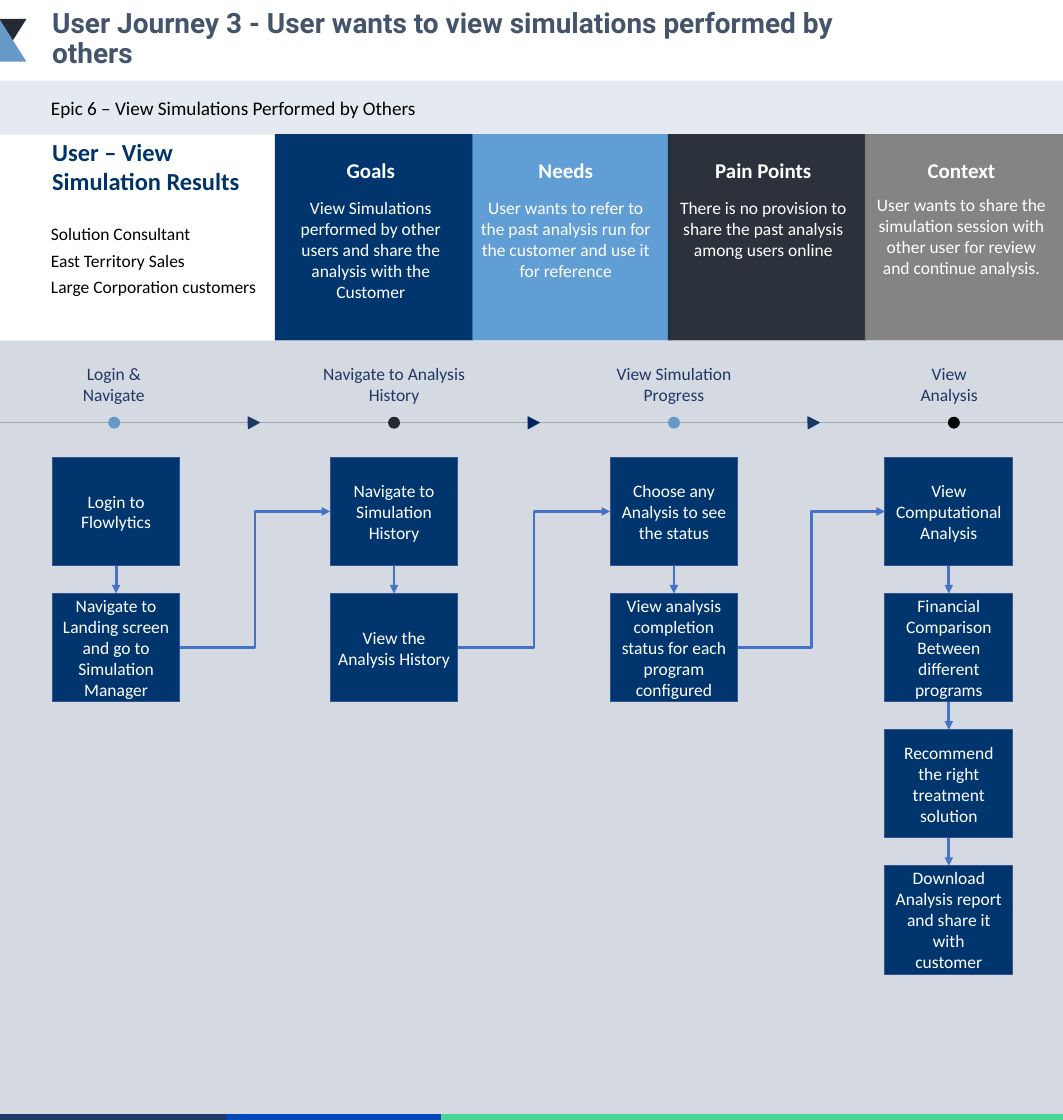
from lxml import etree
from pptx import Presentation
from pptx.dml.color import RGBColor
from pptx.enum import shapes, text
from pptx.oxml.ns import qn
from pptx.util import Pt

# Content
WIDE, HIGH = 1216.8, 1281.6
NAVY, INK, SKY, DUSK = "00366D", "232A33", "6799C8", "203864"
TITLE = "User Journey 3 - User wants to view simulations performed by others"
EPIC = "Epic 6 – View Simulations Performed by Others"
USER = "User – View Simulation Results"
ROLES = "Solution Consultant\nEast Territory Sales\nLarge Corporation customers"

# Card: heading, body, left, text left, body top, fill, opacity
CARDS = [
    ("Goals", "View Simulations performed by other users and share the analysis "
     "with the Customer", 314.6, 321.8, 226, NAVY, 100),
    ("Needs", "User wants to refer to the past analysis run for the customer "
     "and use it for reference", 540.7, 545, 226, "5B9BD5", 96),
    ("Pain Points", "There is no provision to share the past analysis among "
     "users online", 764.6, 771.1, 226, INK, 96),
    ("Context", "User wants to share the simulation session with other user for "
     "review and continue analysis.", 990, 997.9, 221.8, "808080", 96),
]

# Stage: label, label centre, label width, dot colour, step left, steps
STAGES = [
    ("Login & Navigate", 130.3, 141.1, SKY, 59.8,
     ["Login to\nFlowlytics",
      "Navigate to\nLanding screen and go to Simulation Manager"]),
    ("Navigate to Analysis History", 451.1, 209.5, INK, 378,
     ["Navigate to Simulation History", "View the Analysis History"]),
    ("View Simulation Progress", 771.5, 209.5, SKY, 698.4,
     ["Choose any Analysis to see the status",
      "View analysis completion status for each program configured"]),
    ("View\nAnalysis", 1086.5, 141.1, "000000", 1013,
     ["View\nComputational\nAnalysis",
      "Financial\nComparison\nBetween different\nprograms",
      "Recommend the right treatment solution",
      "Download\nAnalysis report and share it with\ncustomer"]),
]
MARKS = [(DUSK, DUSK), ("002060", NAVY), (DUSK, "003468")]
STRIPES = [(505.4, 715, "48D597"), (246.2, 258.5, "0047BB"), (0, 258.5, DUSK)]

deck = Presentation()
deck.slide_width, deck.slide_height = Pt(WIDE), Pt(HIGH)
slide = deck.slides.add_slide(deck.slide_layouts[6])
KIND, LINK = shapes.MSO_SHAPE, shapes.MSO_CONNECTOR
LEFT, MID = text.PP_ALIGN.LEFT, text.PP_ALIGN.CENTER


def paint(part, color):
    part.rgb = RGBColor.from_string(color)


def add(kind, x, y, w, h, fill, line=None, alpha=100):
    item = slide.shapes.add_shape(kind, Pt(x), Pt(y), Pt(w), Pt(h))
    item.shadow.inherit = False
    item.fill.solid()
    paint(item.fill.fore_color, fill)
    if alpha < 100:
        tone = item.fill._xPr.find(qn("a:solidFill"))[0]
        etree.SubElement(tone, qn("a:alpha"), val=str(alpha * 1000))
    if line:
        paint(item.line.color, line)
        item.line.width = Pt(1)
    else:
        item.line.fill.background()
    return item


def write(item, words, size, color, bold=False, align=MID, mid=False,
          font="Calibri", pads=None, after=None, lead=None):
    frame = item.text_frame
    frame.word_wrap = True
    anchor = text.MSO_ANCHOR
    frame.vertical_anchor = anchor.MIDDLE if mid else anchor.TOP
    if pads:
        (frame.margin_left, frame.margin_top,
         frame.margin_right, frame.margin_bottom) = [Pt(p) for p in pads]
    frame.text = words
    for para in frame.paragraphs:
        para.alignment = align
        if after:
            para.space_after = Pt(after)
        if lead:
            para.line_spacing = lead
        for run in para.runs:
            run.font.name, run.font.size, run.font.bold = font, Pt(size), bold
            paint(run.font.color, color)


def label(x, y, w, h, *args, **opts):
    write(slide.shapes.add_textbox(Pt(x), Pt(y), Pt(w), Pt(h)), *args, **opts)


def wire(kind, x1, y1, x2, y2, color, width, head=True):
    item = slide.shapes.add_connector(kind, Pt(x1), Pt(y1), Pt(x2), Pt(y2))
    paint(item.line.color, color)
    item.line.width = Pt(width)
    if head:
        etree.SubElement(item.line._get_or_add_ln(), qn("a:tailEnd"), type="triangle")
    etree.SubElement(item._element.spPr, qn("a:effectLst"))
    return item


def join(kind, start, side, end, goal):
    item = wire(kind, 0, 0, 10, 10, "4472C4", 3.25)
    item.begin_connect(start, side)
    item.end_connect(end, goal)


# Bands, corner mark and footer stripes
add(KIND.RECTANGLE, 0, 389.9, WIDE, 890.3, DUSK, alpha=19)
add(KIND.RECTANGLE, 0, 92.2, WIDE, 61.9, NAVY, alpha=10)
add(KIND.RIGHT_TRIANGLE, -9.7, 30.6, 49, 31, INK).rotation = 90
add(KIND.RIGHT_TRIANGLE, -0.7, 21.6, 31, 49, SKY)
for x, w, color in STRIPES:
    add(KIND.RECTANGLE, x, 1275.1, w, 8, color, color)

# Title, epic and user
label(52.6, 13, 944.6, 64.8, TITLE, 32, "44546A", True, LEFT, True, "Roboto", lead=0.9)
SIDE = (0, 3.6, 7.2, 3.6)
label(58.3, 106.6, 1079.3, 33.8, EPIC, 22, "000000", align=LEFT, pads=SIDE)
label(52.6, 153.4, 262.1, 74.9, USER, 28, "003468", True, LEFT)
label(58.3, 252, 244.8, 92.2, ROLES, 20, "000000", align=LEFT, pads=SIDE, after=6)

# Cards
for head, body, x, inner, top, color, alpha in CARDS:
    add(KIND.RECTANGLE, x, 153.4, 226.8, 236.2, color, alpha=alpha)
    label(inner, 180, 205.2, 28.8, head, 24, "FFFFFF", True, mid=True, pads=(0,) * 4)
    label(inner, top, 205.2, 97.2, body, 20, "FFFFFF", pads=(0,) * 4)

# Timeline: dots and marks share one pitch
AXIS, PITCH, DOT = 483.7, 320.4, 13.7
wire(LINK.STRAIGHT, 0, AXIS, WIDE, AXIS, "A6A6A6", 1.5, False)
for i, (name, mid, w, color, *_) in enumerate(STAGES):
    label(mid - w / 2, 411.8, w, 55.4, name, 20, DUSK)
    add(KIND.OVAL, 130.7 + i * PITCH - DOT / 2, AXIS - DOT / 2, DOT, DOT, color)
for i, (color, line) in enumerate(MARKS):
    mark = add(KIND.ISOSCELES_TRIANGLE, 283.7 + i * PITCH, AXIS - 6.5, DOT, 13,
               color, line)
    mark.rotation = 89

# Steps: down each column, then across to the next
TOP, STEP, BOX_W, BOX_H = 523.4, 155.8, 146.2, 123.8
last = None
for *_, x, steps in STAGES:
    boxes = []
    for row, words in enumerate(steps):
        box = add(KIND.RECTANGLE, x, TOP + row * STEP, BOX_W, BOX_H, NAVY, "325491")
        write(box, words, 20, "FFFFFF", mid=True)
        boxes.append(box)
    for upper, lower in zip(boxes, boxes[1:]):
        join(LINK.STRAIGHT, upper, 2, lower, 0)
    if last:
        join(LINK.ELBOW, last, 3, boxes[0], 1)
    last = boxes[-1]

deck.save("out.pptx")
